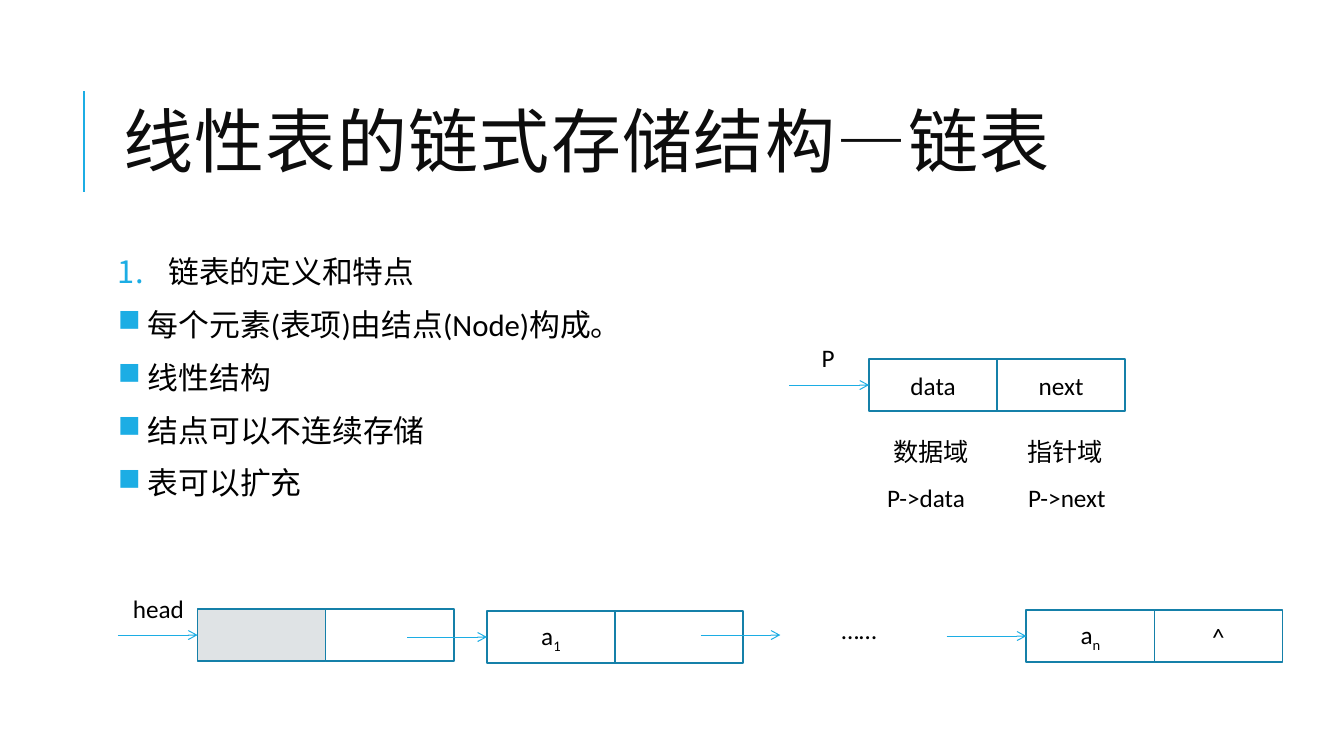
from dataclasses import dataclass

from lxml.etree import SubElement
from pptx import Presentation
from pptx.dml.color import RGBColor as RGB
from pptx.enum.shapes import MSO_CONNECTOR as CONN, MSO_SHAPE as SHAPE
from pptx.enum.text import MSO_ANCHOR as ANCHOR, MSO_AUTO_SIZE as AUTO, PP_ALIGN as ALIGN
from pptx.oxml.ns import qn
from pptx.util import Inches, Pt


@dataclass(frozen=True)
class Theme:
    """Colours, fonts and type sizes of the slide."""
    accent: RGB = RGB(0x1C, 0xAD, 0xE4)
    border: RGB = RGB(0x15, 0x80, 0xA9)
    shade: RGB = RGB(0xDF, 0xE3, 0xE5)
    title: RGB = RGB(0x0D, 0x0D, 0x0D)
    text: RGB = RGB(0, 0, 0)
    title_font: str = "Cabin"
    body_font: str = "Calibri"
    title_size: int = 50
    body_size: int = 22
    label_size: int = 18


THEME = Theme()
CELL_W, CELL_H, ARROW_W = 1.27, 0.52, 0.79


def set_attrs(target, values):
    """Set several attributes on one object."""
    for name, value in values.items():
        setattr(target, name, value)


def add_run(p, text, size=THEME.label_size, font=THEME.body_font, color=THEME.text, **extra):
    """Add a formatted run; extra holds further run properties."""
    r = p.add_run()
    r.text = text
    set_attrs(r.font, {"size": Pt(size), "name": font, "bold": False})
    r.font.color.rgb = color
    rPr = r._r.get_or_add_rPr()
    for name, value in {"lang": "zh-CN", **extra}.items():
        rPr.set(name, value)


def set_title(s, text):
    """Place and format the title, with the accent rule beside it."""
    add_line(s, 0.83, 1.9, 0.83, 0.9, 1.5)
    sp = s.shapes.title
    set_attrs(sp, {"left": Inches(1.12), "top": Inches(0.64),
                   "width": Inches(10.63), "height": Inches(1.64)})
    set_attrs(sp.text_frame, {"auto_size": AUTO.NONE, "word_wrap": True,
                              "vertical_anchor": ANCHOR.MIDDLE})
    p = sp.text_frame.paragraphs[0]
    set_attrs(p, {"alignment": ALIGN.LEFT, "line_spacing": 0.8})
    add_run(p, text, THEME.title_size, THEME.title_font, THEME.title, spc="100")


def set_bullet(p, tag, indent, **attrs):
    """Give a paragraph a coloured bullet with a hanging indent."""
    pPr = p._p.get_or_add_pPr()
    pPr.set("marL", str(Inches(indent)))
    pPr.set("indent", str(-Inches(indent)))
    color = SubElement(pPr, qn("a:buClr"))
    SubElement(color, qn("a:srgbClr"), val=str(THEME.accent))
    SubElement(pPr, qn(tag), **attrs)


def add_body(s, heading, points):
    """Add the numbered heading and the bulleted points."""
    tf = s.shapes.add_textbox(Inches(1.12), Inches(2.5), Inches(10.63), Inches(4.4)).text_frame
    margins = ("margin_left", "margin_top", "margin_right", "margin_bottom")
    set_attrs(tf, {"word_wrap": True, **dict.fromkeys(margins, Inches(0.05))})
    for i, text in enumerate([heading, *points]):
        p = tf.add_paragraph() if i else tf.paragraphs[0]
        set_attrs(p, {"line_spacing": 0.9, "space_before": Pt(12), "space_after": Pt(2)})
        if i:
            set_bullet(p, "a:buChar", 0.1, char="■")
        else:
            set_bullet(p, "a:buAutoNum", 0.5, type="arabicPeriod")
        add_run(p, f" {text}" if i else text, THEME.body_size)


def add_label(s, left, top, width, text):
    """Add a one-line label."""
    box = s.shapes.add_textbox(Inches(left), Inches(top), Inches(width), Inches(0.4))
    set_attrs(box.text_frame, {"word_wrap": False, "auto_size": AUTO.SHAPE_TO_FIT_TEXT})
    add_run(box.text_frame.paragraphs[0], text)


def add_line(s, x1, y1, x2, y2, width):
    """Add a plain accent line and return it."""
    line = s.shapes.add_connector(CONN.STRAIGHT, Inches(x1), Inches(y1), Inches(x2), Inches(y2))
    line.line.color.rgb = THEME.accent
    line.line.width = Pt(width)
    SubElement(line._element.spPr, qn("a:effectLst"))
    return line


def add_arrow(s, tip, y):
    """Add a pointer arrow that ends at tip."""
    arrow = add_line(s, tip - ARROW_W, y, tip, y, 0.75)
    SubElement(arrow.line._get_or_add_ln(), qn("a:tailEnd"), type="arrow")


def add_cell(s, left, top, text="", sub="", fill=None):
    """Add one field of a node, with an optional subscript."""
    sp = s.shapes.add_shape(SHAPE.RECTANGLE, Inches(left), Inches(top),
                            Inches(CELL_W), Inches(CELL_H))
    sp.shadow.inherit = False
    if fill:
        sp.fill.solid()
        sp.fill.fore_color.rgb = fill
    else:
        sp.fill.background()
    sp.line.color.rgb = THEME.border
    sp.line.width = Pt(1.25)
    sp.text_frame.vertical_anchor = ANCHOR.MIDDLE
    p = sp.text_frame.paragraphs[0]
    p.alignment = ALIGN.CENTER
    if text:
        add_run(p, text)
    if sub:
        add_run(p, sub, baseline="-25000")


def add_node(s, left, top, data="", sub="", link="", fill=None):
    """Add a node: data field, link field and incoming arrow."""
    add_cell(s, left, top, data, sub, fill)
    add_cell(s, left + CELL_W, top, link)
    add_arrow(s, left, top + CELL_H / 2)


def main():
    """Build the slide and save it."""
    prs = Presentation()
    prs.slide_width, prs.slide_height = Inches(13.33), Inches(7.5)
    s = prs.slides.add_slide(prs.slide_layouts[5])
    set_title(s, "线性表的链式存储结构—链表")
    add_body(s, "链表的定义和特点",
             ["每个元素(表项)由结点(Node)构成。", "线性结构", "结点可以不连续存储", "表可以扩充"])

    add_node(s, 8.62, 3.56, "data", link="next")
    add_node(s, 1.96, 6.04, fill=THEME.shade)
    add_node(s, 4.83, 6.06, "a", "1")
    add_node(s, 10.18, 6.05, "a", "n", link="^")
    add_arrow(s, 7.74, 6.3)

    for label in [
        (8.05, 3.35, 0.33, "P"),
        (8.76, 4.28, 0.96, "数据域"),
        (10.09, 4.28, 0.96, "指针域"),
        (8.7, 4.74, 1.06, "P->data"),
        (10.1, 4.74, 1, "P->next"),
        (1.22, 5.84, 0.72, "head"),
        (8.25, 6.05, 0.71, "……"),
    ]:
        add_label(s, *label)
    prs.save("out.pptx")


main()
